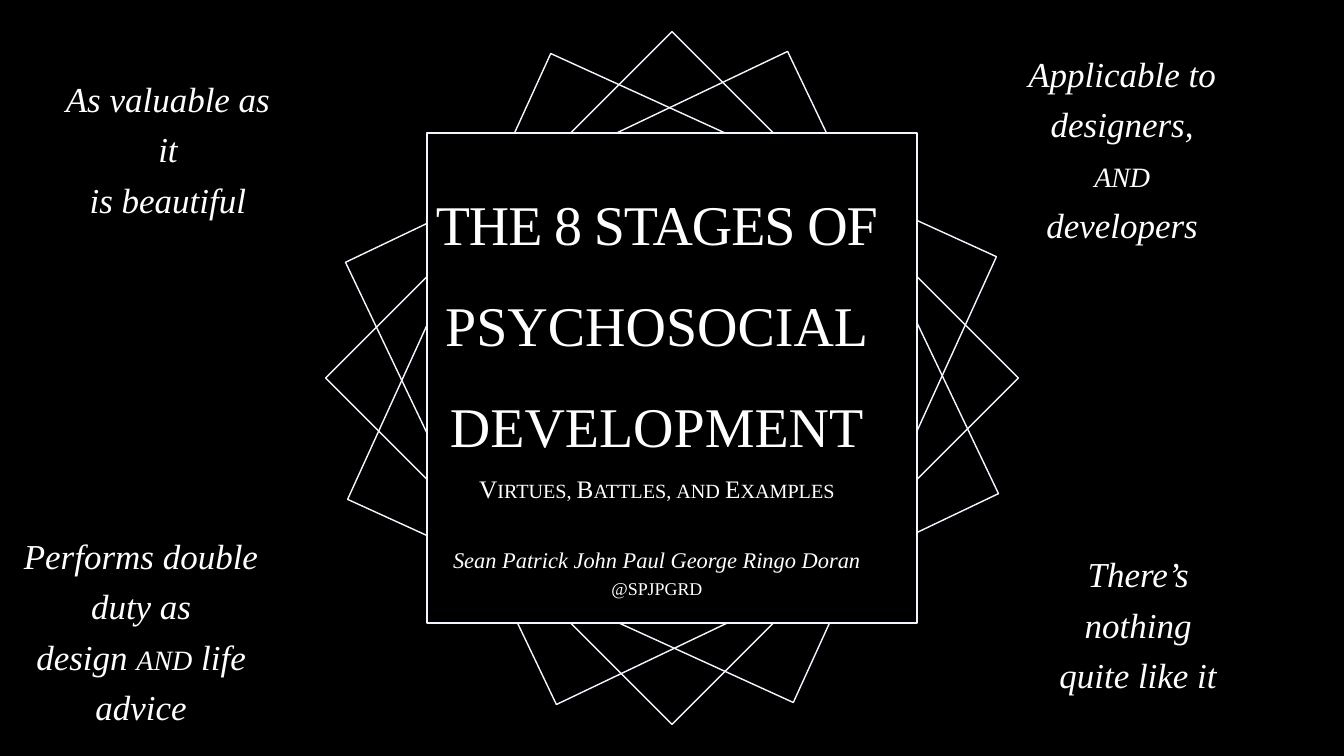
import pptx
import pptx.util
import pptx.dml.color
import pptx.enum.shapes
import pptx.enum.text
from dataclasses import dataclass


@dataclass(frozen=True)
class Theme:
    font: str = "Times New Roman"
    back: str = "000000"
    text: str = "FFFFFF"
    line: str = "F1F6FF"
    weight: int = 2
    head: int = 80
    sub: int = 36
    name: int = 32
    quote: int = 50


THEME = Theme()
WIDE, HIGH = 26.67, 15
COLS, ROWS = 80, 45


def col(count):
    return pptx.util.Inches(WIDE * count / COLS)


def row(count):
    return pptx.util.Inches(HIGH * count / ROWS)


def color(code):
    return pptx.dml.color.RGBColor.from_string(code)


def place(mid_x, mid_y, wide, high):
    """Left, top, width and height of a box centred on a grid point."""
    return col(mid_x - wide / 2), row(mid_y - high / 2), col(wide), row(high)


def style(run, size, slant=False, small=False):
    font = run.font
    font.name, font.size, font.italic = THEME.font, pptx.util.Pt(size), slant
    font.color.rgb = color(THEME.text)
    if small:
        run._r.get_or_add_rPr().set("cap", "small")


def set_frame(frame):
    frame.word_wrap = True
    frame.auto_size = pptx.enum.text.MSO_AUTO_SIZE.NONE
    frame.vertical_anchor = pptx.enum.text.MSO_ANCHOR.MIDDLE
    frame.margin_left = frame.margin_right = pptx.util.Inches(0.06)
    frame.margin_top = frame.margin_bottom = pptx.util.Inches(0.06)


def set_para(para, space):
    para.alignment = pptx.enum.text.PP_ALIGN.CENTER
    para.line_spacing = space


def add_square(slide, angle, filled=False):
    side = 29.16
    square = slide.shapes.add_shape(
        pptx.enum.shapes.MSO_SHAPE.RECTANGLE,
        *place(COLS / 2, ROWS / 2, side, side))
    square.rotation = angle
    square.shadow.inherit = False
    square.line.color.rgb = color(THEME.line)
    square.line.width = pptx.util.Pt(THEME.weight)
    if filled:
        square.fill.solid()
        square.fill.fore_color.rgb = color(THEME.back)
    else:
        square.fill.background()


def add_title(slide):
    title = slide.shapes.title
    title.left, title.top, title.width, title.height = place(39.1, 22.5, 27.2, 28.4)
    slide.shapes._spTree.append(title._element)  # in front of the squares
    frame = title.text_frame
    frame.text = "\n".join([
        "THE 8 STAGES OF",
        "PSYCHOSOCIAL",
        "DEVELOPMENT\vVirtues, Battles, and Examples",
        "Sean Patrick John Paul George Ringo Doran",
        "@spjpgrd"])
    set_frame(frame)
    paras = frame.paragraphs
    for para in paras[:3]:
        set_para(para, 1.5)
        style(para.runs[0], THEME.head)
    paras[0].runs[0]._r.get_or_add_rPr().set("spc", "-160")
    style(paras[2].runs[1], THEME.sub, small=True)

    # Author and handle
    for para in paras[3:]:
        set_para(para, 1.0)
    paras[3].space_before = pptx.util.Pt(60)
    style(paras[3].runs[0], THEME.name, slant=True)
    style(paras[4].runs[0], THEME.name, small=True)


def add_quote(slide, mid_x, mid_y, wide, lines):
    """Each line is a list of runs; the run "and" is set in small caps."""
    frame = slide.shapes.add_textbox(*place(mid_x, mid_y, wide, 13)).text_frame
    set_frame(frame)
    frame.text = "\n".join("" for _ in lines)
    for para, parts in zip(frame.paragraphs, lines):
        set_para(para, 1.2)
        for part in parts:
            run = para.add_run()
            run.text = part
            style(run, THEME.quote, slant=True, small=part == "and")


def main():
    deck = pptx.Presentation()
    deck.slide_width = pptx.util.Inches(WIDE)
    deck.slide_height = pptx.util.Inches(HIGH)
    slide = deck.slides.add_slide(deck.slide_layouts[5])
    slide.background.fill.solid()
    slide.background.fill.fore_color.rgb = color(THEME.back)

    # Star of turned squares behind the title panel
    for angle in (64.5, 114.5, 45):
        add_square(slide, angle)
    add_square(slide, 0, filled=True)
    add_title(slide)

    # Quotes in the four corners
    quotes = [
        (10, 8.6, 12.6, [["As valuable as it"], ["is beautiful"]]),
        (66.8, 8.6, 13.2, [["Applicable to designers,"], ["and", " developers"]]),
        (67.75, 36.9, 10, [["There’s nothing"], ["quite like it"]]),
        (8.4, 37.3, 14.4, [["Performs double duty as"],
                           ["design ", "and", " life advice"]]),
    ]
    for quote in quotes:
        add_quote(slide, *quote)

    deck.save("out.pptx")


if __name__ == "__main__":
    main()
